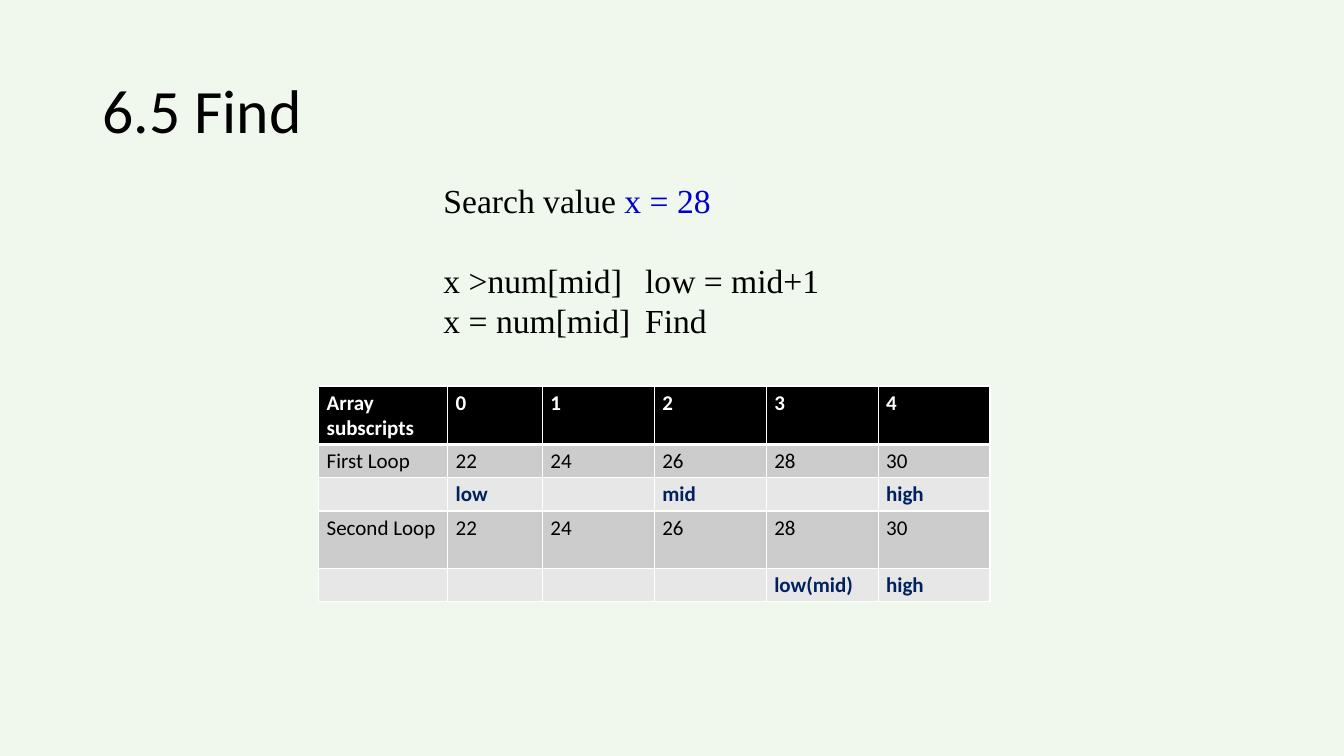
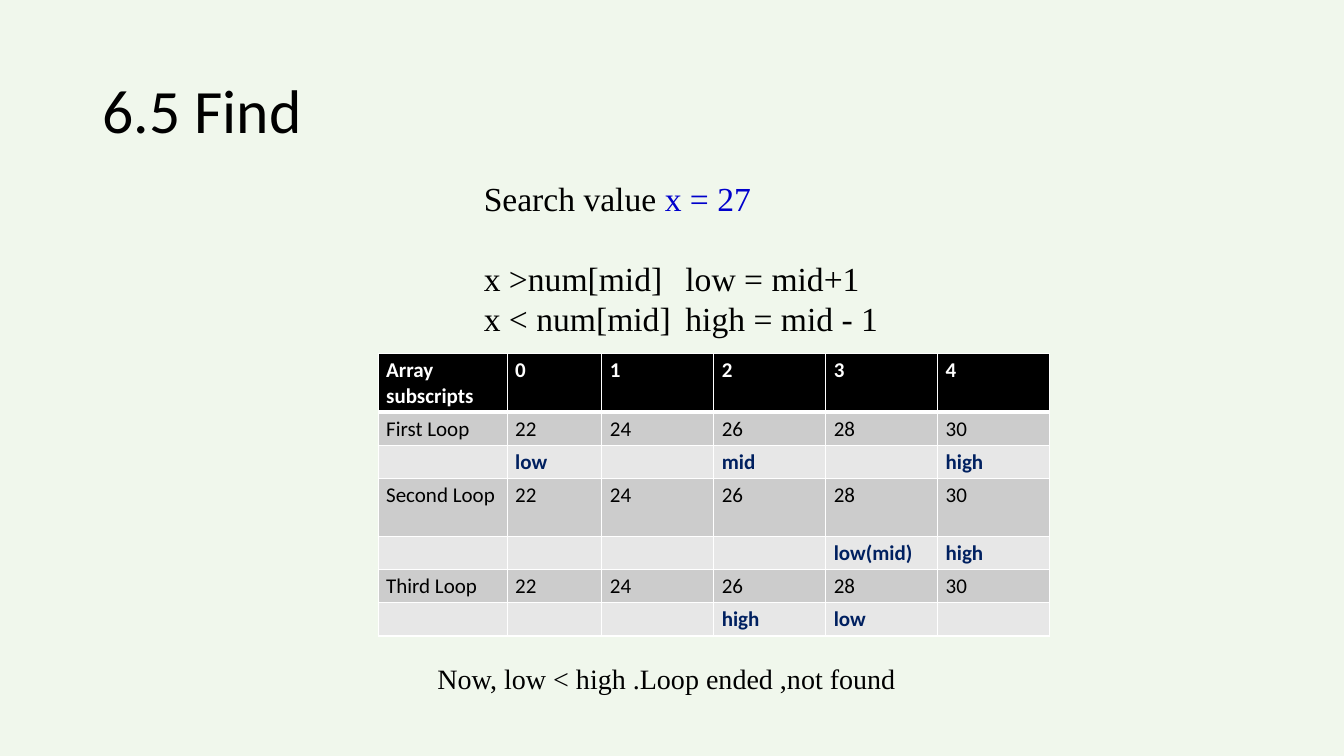
"""Build two slides that trace a binary search, one found and one not found."""
from dataclasses import dataclass

from lxml import etree
from pptx import Presentation
from pptx.dml.color import RGBColor
from pptx.enum.text import MSO_ANCHOR
from pptx.oxml.ns import qn
from pptx.slide import Slide
from pptx.table import _Cell
from pptx.text.text import _Paragraph, _Run
from pptx.util import Inches, Pt

TOP = MSO_ANCHOR.TOP
MIDDLE = MSO_ANCHOR.MIDDLE


@dataclass(frozen=True)
class Theme:
    """Colours, fonts and type sizes shared by the slides."""
    background: str = "F0F7EC"
    ink: str = "000000"
    white: str = "FFFFFF"
    accent: str = "0000CC"
    marker: str = "002060"
    value_fill: str = "CCCCCC"
    marker_fill: str = "E7E7E7"
    sans: str = "Calibri"
    serif: str = "Times New Roman"
    title_size: int = 44
    rule_size: int = 24
    note_size: int = 20
    table_size: int = 15


@dataclass(frozen=True)
class Box:
    """Position and size in inches."""
    left: float
    top: float
    width: float
    height: float


@dataclass(frozen=True)
class Loop:
    """One pass of the search and its markers by array subscript."""
    name: str
    markers: dict[int, str]
    height: float = 0.33


@dataclass(frozen=True)
class Search:
    """The content of one slide."""
    target: str
    rules: tuple[str, ...]
    rules_box: Box
    table_left: float
    table_top: float
    loops: tuple[Loop, ...]
    note: str = ""


THEME = Theme()
TITLE = "6.5 Find"
TITLE_BOX = Box(0.92, 0.4, 11.5, 1.45)
NOTE_BOX = Box(4.24, 6.51, 5.57, 0.44)
VALUES = ("22", "24", "26", "28", "30")
COLUMN_WIDTHS = (1.28, 0.94, 1.11, 1.11, 1.11, 1.11)
HEADER_HEIGHT = 0.57
MARKER_HEIGHT = 0.33
RULE_GAP = 28
THIN, THICK = 1, 3

FIRST_LOOP = Loop("First Loop", {0: "low", 2: "mid", 4: "high"})
SECOND_LOOP = Loop("Second Loop", {3: "low(mid)", 4: "high"}, 0.57)
THIRD_LOOP = Loop("Third Loop", {2: "high", 3: "low"})

SEARCHES = (
    Search("x = 28", ("x >num[mid] \tlow = mid+1", "x = num[mid] \tFind"),
           Box(4.3, 1.74, 4.09, 1.72), 3.16, 3.83, (FIRST_LOOP, SECOND_LOOP)),
    Search("x = 27", ("x >num[mid] \tlow = mid+1", "x < num[mid] \thigh = mid - 1"),
           Box(4.7, 1.72, 4.33, 1.72), 3.75, 3.51, (FIRST_LOOP, SECOND_LOOP, THIRD_LOOP),
           "Now, low < high .Loop ended ,not found"),
)


def style_run(run: _Run, font: str, size: int, color: str, bold: bool = False) -> None:
    """Set the font of a run."""
    run.font.name = font
    run.font.size = Pt(size)
    run.font.bold = bold
    run.font.color.rgb = RGBColor.from_string(color)


def add_text(slide: Slide, box: Box, lines: tuple[str, ...], font: str, size: int,
             anchor: MSO_ANCHOR = TOP) -> list[_Paragraph]:
    """Add a wrapping text box and return its paragraphs."""
    frame = slide.shapes.add_textbox(
        Inches(box.left), Inches(box.top), Inches(box.width), Inches(box.height)).text_frame
    frame.word_wrap = True
    frame.vertical_anchor = anchor
    frame.text = "\n".join(lines)
    for paragraph in frame.paragraphs:
        for run in paragraph.runs:
            style_run(run, font, size, THEME.ink)
    return list(frame.paragraphs)


def set_borders(cell: _Cell, top: int, bottom: int) -> None:
    """Draw white borders around a cell."""
    properties = cell._tc.get_or_add_tcPr()
    sides = (("a:lnL", THIN), ("a:lnR", THIN), ("a:lnT", top), ("a:lnB", bottom))
    for position, (tag, width) in enumerate(sides):
        line = etree.Element(qn(tag), w=str(Pt(width)))
        fill = etree.SubElement(line, qn("a:solidFill"))
        etree.SubElement(fill, qn("a:srgbClr"), val=THEME.white)
        properties.insert(position, line)


def fill_cell(cell: _Cell, text: str, fill: str, color: str, bold: bool) -> None:
    """Set the text and fill of a cell."""
    cell.margin_left = cell.margin_right = Inches(0.08)
    cell.margin_top = cell.margin_bottom = Inches(0.04)
    cell.fill.solid()
    cell.fill.fore_color.rgb = RGBColor.from_string(fill)
    paragraph = cell.text_frame.paragraphs[0]
    if text:
        paragraph.text = text
        style_run(paragraph.runs[0], THEME.sans, THEME.table_size, color, bold)
    else:
        etree.SubElement(paragraph._p, qn("a:endParaRPr"), sz=str(THEME.table_size * 100))


def add_trace(slide: Slide, search: Search) -> None:
    """Add the table with a value row and a marker row for each loop."""
    subscripts = range(len(VALUES))
    header = ("Array subscripts", *map(str, subscripts))
    rows = [(HEADER_HEIGHT, header, THEME.ink, THEME.white, True)]
    for loop in search.loops:
        markers = ("", *(loop.markers.get(subscript, "") for subscript in subscripts))
        rows.append((loop.height, (loop.name, *VALUES), THEME.value_fill, THEME.ink, False))
        rows.append((MARKER_HEIGHT, markers, THEME.marker_fill, THEME.marker, True))
    trace = slide.shapes.add_table(
        len(rows), len(COLUMN_WIDTHS), Inches(search.table_left), Inches(search.table_top),
        Inches(sum(COLUMN_WIDTHS)), Inches(sum(row[0] for row in rows))).table
    trace.first_row = trace.horz_banding = False
    for column, width in zip(trace.columns, COLUMN_WIDTHS):
        column.width = Inches(width)
    for index, (height, texts, fill, color, bold) in enumerate(rows):
        trace.rows[index].height = Inches(height)
        for column, text in enumerate(texts):
            cell = trace.cell(index, column)
            fill_cell(cell, text, fill, color, bold)
            set_borders(cell, THICK if index == 1 else THIN, THICK if index == 0 else THIN)


def add_search(slide: Slide, search: Search) -> None:
    """Draw one search slide."""
    slide.background.fill.solid()
    slide.background.fill.fore_color.rgb = RGBColor.from_string(THEME.background)
    title = add_text(slide, TITLE_BOX, (TITLE,), THEME.sans, THEME.title_size, MIDDLE)
    title[0].line_spacing = 0.9
    add_trace(slide, search)
    question, first_rule, *_ = add_text(
        slide, search.rules_box, ("Search value ", *search.rules), THEME.serif, THEME.rule_size)
    target = question.add_run()
    target.text = search.target
    style_run(target, THEME.serif, THEME.rule_size, THEME.accent)
    first_rule.space_before = Pt(RULE_GAP)
    if search.note:
        add_text(slide, NOTE_BOX, (search.note,), THEME.serif, THEME.note_size)


def main() -> None:
    """Build and save the presentation."""
    deck = Presentation()
    deck.slide_width = Inches(13.33)
    deck.slide_height = Inches(7.5)
    blank = deck.slide_layouts[6]
    for search in SEARCHES:
        add_search(deck.slides.add_slide(blank), search)
    deck.save("out.pptx")


if __name__ == "__main__":
    main()
